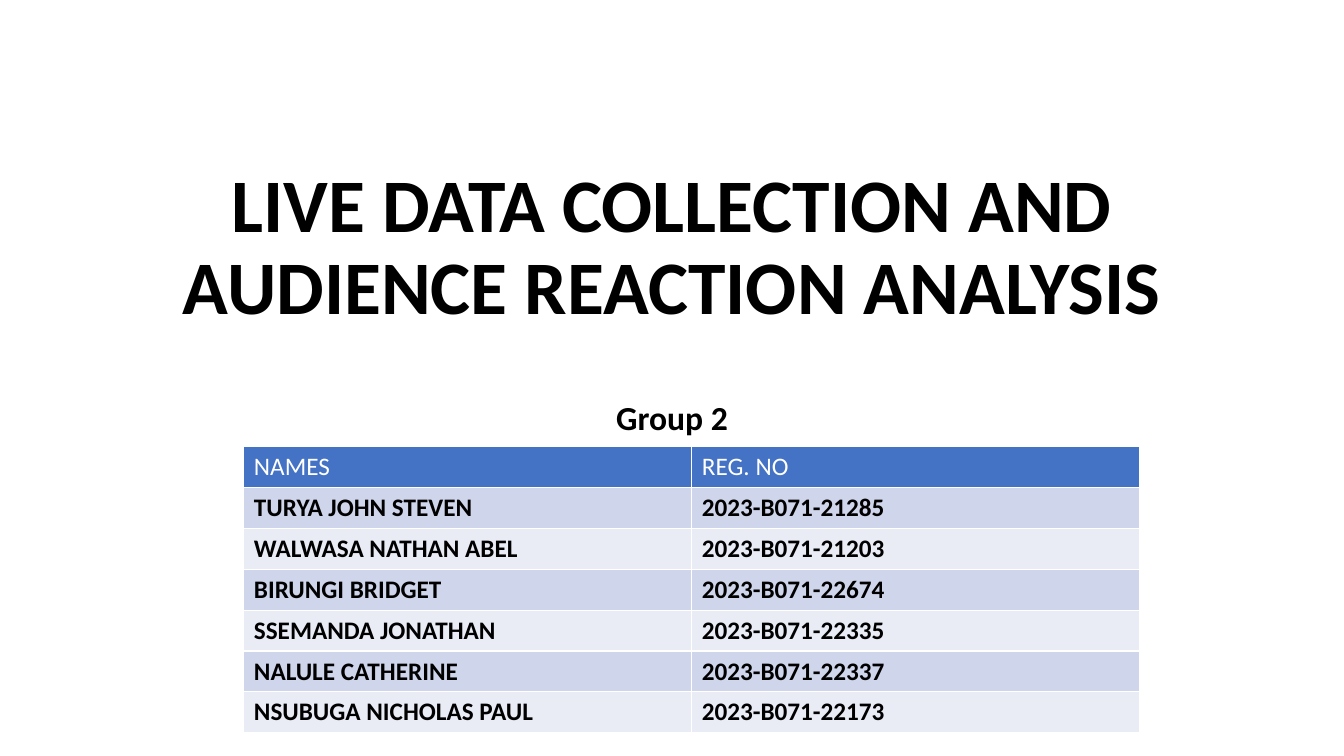
from pptx import Presentation
from pptx.dml.color import RGBColor
from pptx.enum.text import MSO_ANCHOR, MSO_AUTO_SIZE, PP_ALIGN
from pptx.util import Pt

CENTER = PP_ALIGN.CENTER
TOP, BOTTOM = MSO_ANCHOR.TOP, MSO_ANCHOR.BOTTOM
NO_AUTOFIT = MSO_AUTO_SIZE.NONE

MEMBERS = [
    ("NAMES", "REG. NO"),
    ("TURYA JOHN STEVEN", "2023-B071-21285"),
    ("WALWASA NATHAN ABEL", "2023-B071-21203"),
    ("BIRUNGI BRIDGET", "2023-B071-22674"),
    ("SSEMANDA JONATHAN", "2023-B071-22335"),
    ("NALULE CATHERINE", "2023-B071-22337"),
    ("NSUBUGA NICHOLAS PAUL", "2023-B071-22173"),
]
HEADER_FILL = "4472C4"
BAND_FILLS = ["E9EBF5", "CFD5EA"]
COLUMN_WIDTH, ROW_HEIGHT = 320, 29.2


def color(hex_string):
    return RGBColor.from_string(hex_string)


def write(frame, text, size, bold, ink):
    frame.text = text
    font = frame.paragraphs[0].runs[0].font
    font.name, font.size, font.bold = "Calibri", Pt(size), bold
    font.color.rgb = color(ink)


deck = Presentation()
deck.slide_width, deck.slide_height = Pt(960), Pt(540)
slide = deck.slides.add_slide(deck.slide_layouts[0])

headings = [
    (slide.shapes.title, "LIVE DATA COLLECTION AND AUDIENCE REACTION ANALYSIS",
     54, 52, 188, BOTTOM, 0),
    (slide.placeholders[1], "Group 2", 24, 283.5, 130, TOP, 10),
]
for heading, text, size, top, height, anchor, space_before in headings:
    heading.left, heading.top = Pt(120), Pt(top)
    heading.width, heading.height = Pt(720), Pt(height)
    frame = heading.text_frame
    write(frame, text, size, True, "000000")
    frame.auto_size = NO_AUTOFIT
    frame.vertical_anchor = anchor
    paragraph = frame.paragraphs[0]
    paragraph.alignment = CENTER
    paragraph.line_spacing = 0.9
    paragraph.space_before = Pt(space_before)

members = slide.shapes.add_table(
    len(MEMBERS), 2, Pt(174.2), Pt(319),
    Pt(2 * COLUMN_WIDTH), Pt(len(MEMBERS) * ROW_HEIGHT)).table
for column in members.columns:
    column.width = Pt(COLUMN_WIDTH)
for row, entries in enumerate(MEMBERS):
    members.rows[row].height = Pt(ROW_HEIGHT)
    is_header = row == 0
    for col, entry in enumerate(entries):
        cell = members.cell(row, col)
        cell.fill.solid()
        cell.fill.fore_color.rgb = color(HEADER_FILL if is_header else BAND_FILLS[row % 2])
        write(cell.text_frame, entry, 18, not is_header, "FFFFFF" if is_header else "000000")

deck.save("out.pptx")
